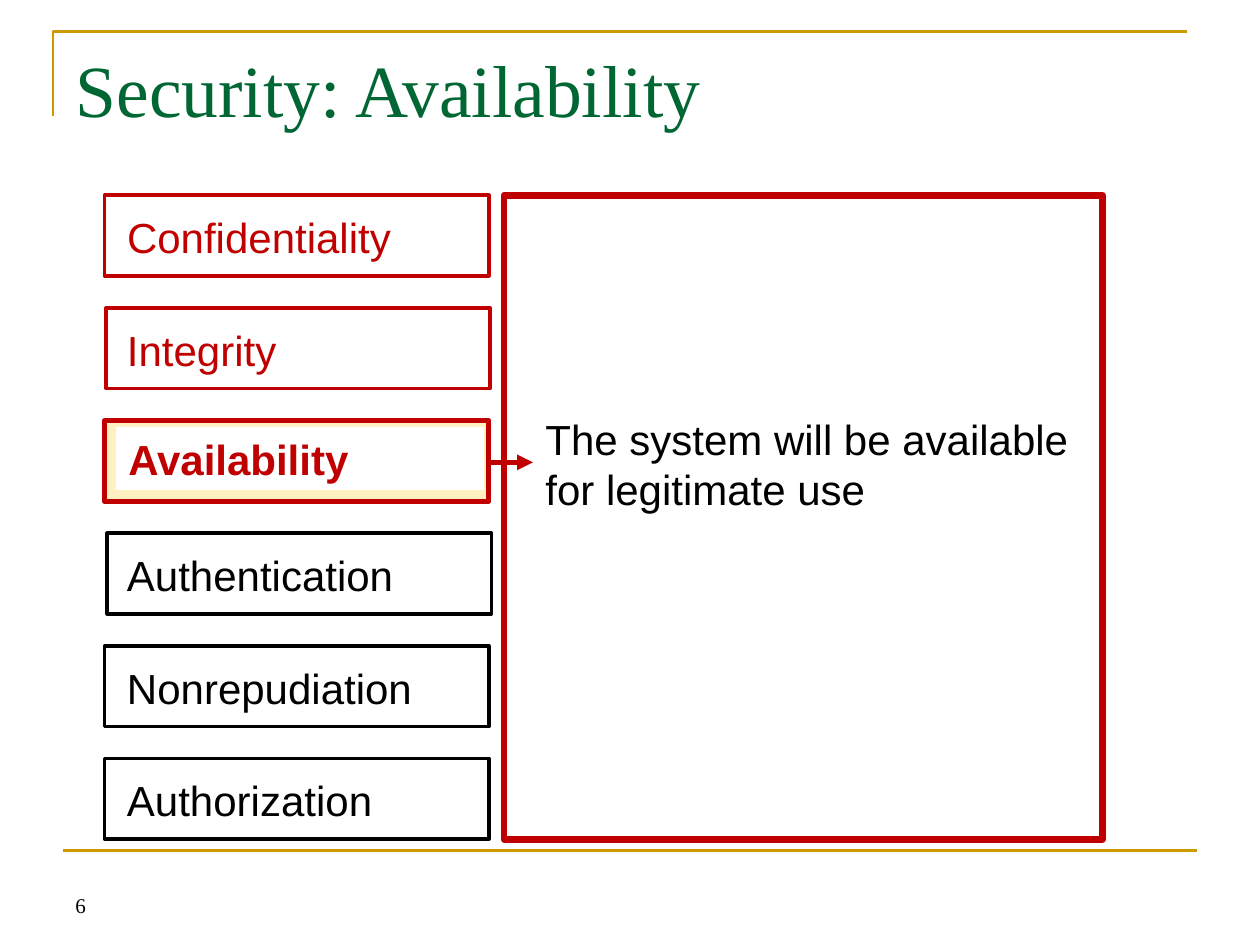
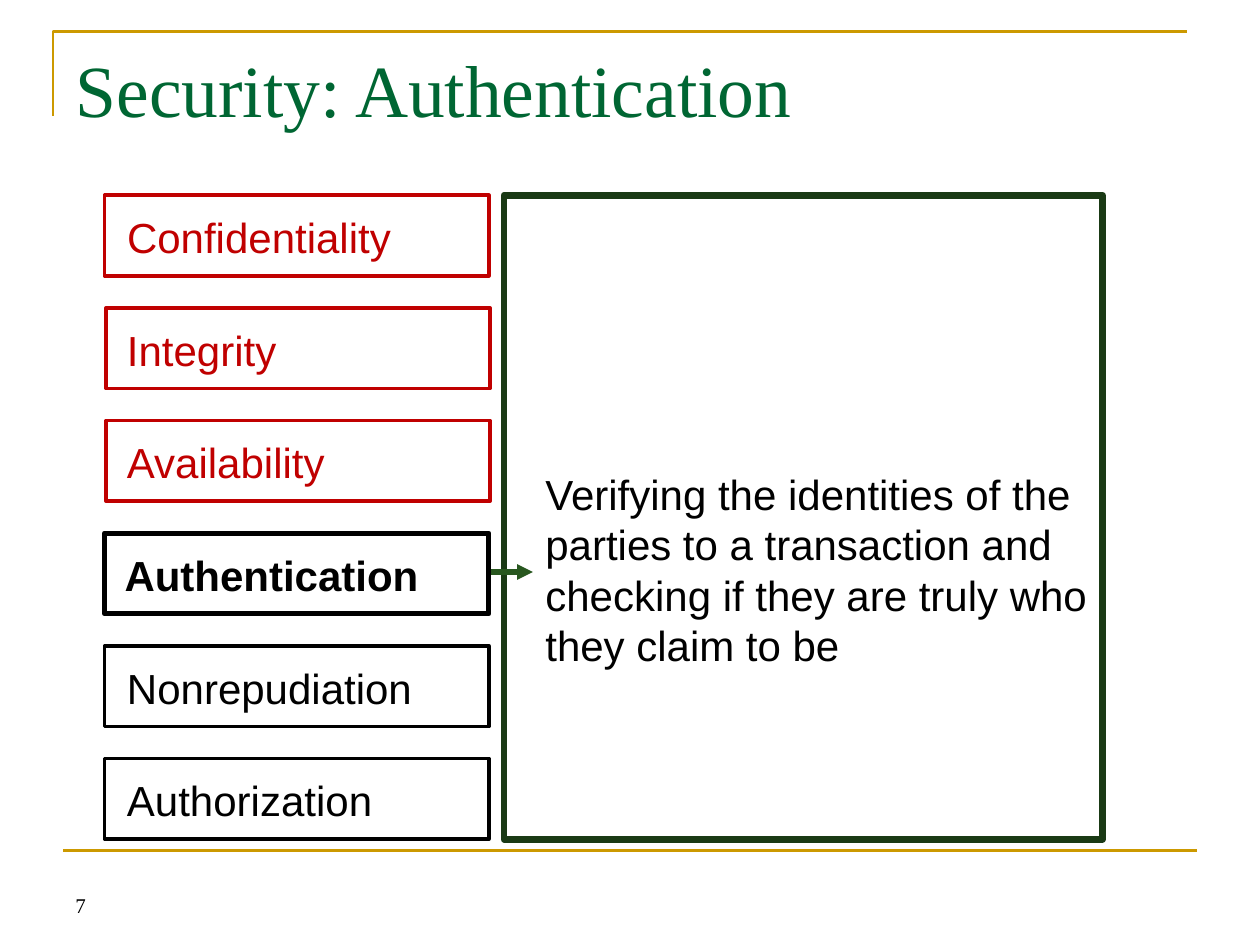
import lxml.etree
import pptx
import pptx.dml.color
import pptx.enum.shapes
import pptx.enum.text
import pptx.oxml.ns
import pptx.util

Inches = pptx.util.Inches
Pt = pptx.util.Pt
RGBColor = pptx.dml.color.RGBColor

WHITE = RGBColor(0xFF, 0xFF, 0xFF)
BLACK = RGBColor(0x00, 0x00, 0x00)
RED = RGBColor(0xC0, 0x00, 0x00)
GOLD = RGBColor(0xCC, 0x99, 0x00)
CREAM = RGBColor(0xFF, 0xF0, 0xC2)
TITLE_GREEN = RGBColor(0x00, 0x66, 0x33)
PANEL_GREEN = RGBColor(0x1A, 0x3A, 0x15)
ARROW_GREEN = RGBColor(0x28, 0x57, 0x1F)

HEADING_FONT = "Times New Roman"
BODY_FONT = "Arial"

MARGIN = 0.5
GOAL_COLUMN = 0.83
GOAL_WIDTH = 3.05
GOAL_HEIGHT = 0.64
PANEL_COLUMN = 4
ARROW_START = 3.68
DESCRIPTION_COLUMN = 4.23
FIRST_ROW = 1.55
LAST_ROW = 6.02

GOALS = [
    ("Confidentiality", RED, 0, 2.92),
    ("Integrity", RED, 0.01, 2.67),
    ("Availability", RED, 0.01, 2.67),
    ("Authentication", BLACK, 0.02, 2.67),
    ("Nonrepudiation", BLACK, 0, 2.67),
    ("Authorization", BLACK, 0, 2.9),
]
ROW_PITCH = (LAST_ROW - FIRST_ROW) / (len(GOALS) - 1)

SLIDES = [
    {
        "number": 6,
        "goal": "Availability",
        "description": "The system will be available for legitimate use",
        "description_top": 3.23,
        "description_height": 0.9,
        "panel_color": RED,
        "arrow_color": RED,
        "arrow_y": 3.67,
        "goal_fill": CREAM,
        "label_box": (0.92, 0.05, 2.92),
    },
    {
        "number": 7,
        "goal": "Authentication",
        "description": "Verifying the identities of the parties to a transaction "
                       "and checking if they are truly who they claim to be",
        "description_top": 3.67,
        "description_height": 1.7,
        "panel_color": PANEL_GREEN,
        "arrow_color": ARROW_GREEN,
        "arrow_y": 4.54,
        "goal_fill": WHITE,
        "label_box": (0.89, 0.08, 2.67),
    },
]


def add_box(slide, left, top, width, height, fill, line_color, line_width):
    box = slide.shapes.add_shape(
        pptx.enum.shapes.MSO_SHAPE.RECTANGLE,
        Inches(left), Inches(top), Inches(width), Inches(height))
    box.shadow.inherit = False
    box.fill.solid()
    box.fill.fore_color.rgb = fill
    box.line.color.rgb = line_color
    box.line.width = Pt(line_width)


def set_text(shape, text, font_name, size, color, bold=False):
    text_frame = shape.text_frame
    text_frame.word_wrap = True
    text_frame.auto_size = pptx.enum.text.MSO_AUTO_SIZE.NONE
    text_frame.vertical_anchor = pptx.enum.text.MSO_ANCHOR.TOP
    text_frame.text = text
    paragraph = text_frame.paragraphs[0]
    paragraph.alignment = pptx.enum.text.PP_ALIGN.LEFT
    font = paragraph.runs[0].font
    font.name = font_name
    font.size = Pt(size)
    font.bold = bold
    font.color.rgb = color


presentation = pptx.Presentation()
presentation.slide_width = Inches(10)
presentation.slide_height = Inches(7.5)
title_only = presentation.slide_layouts[5]

for content in SLIDES:
    slide = presentation.slides.add_slide(title_only)
    shapes = slide.shapes

    title = shapes.title
    title.left, title.top = Inches(MARGIN), Inches(0.3)
    title.width, title.height = Inches(9), Inches(1.25)
    set_text(title, f"Security: {content['goal']}", HEADING_FONT, 42, TITLE_GREEN)

    builder = shapes.build_freeform(Inches(0.42), Inches(0.92))
    builder.add_line_segments(
        [(Inches(0.42), Inches(0.25)), (Inches(9.42), Inches(0.25))], close=False)
    corner = builder.convert_to_shape()
    corner.shadow.inherit = False
    corner.fill.background()
    corner.line.color.rgb = GOLD
    corner.line.width = Pt(1.5)

    lines = [
        (MARGIN, 10 - MARGIN, 6.75, GOLD, 1.5),
        (ARROW_START, DESCRIPTION_COLUMN, content["arrow_y"], content["arrow_color"], 3),
    ]
    add_box(slide, PANEL_COLUMN, FIRST_ROW, 4.75, 5.11, WHITE, content["panel_color"], 4)
    for start, end, y, color, width in lines:
        connector = shapes.add_connector(
            pptx.enum.shapes.MSO_CONNECTOR.STRAIGHT,
            Inches(start), Inches(y), Inches(end), Inches(y))
        connector.line.color.rgb = color
        connector.line.width = Pt(width)
        properties = connector._element.spPr
        lxml.etree.SubElement(properties, pptx.oxml.ns.qn("a:effectLst"))
    arrow_line = properties.find(pptx.oxml.ns.qn("a:ln"))
    lxml.etree.SubElement(arrow_line, pptx.oxml.ns.qn("a:tailEnd"), type="triangle")

    description = shapes.add_textbox(
        Inches(DESCRIPTION_COLUMN), Inches(content["description_top"]),
        Inches(4.58), Inches(content["description_height"]))
    set_text(description, content["description"], BODY_FONT, 24, BLACK)

    for row, (goal, color, shift, label_width) in enumerate(GOALS):
        top = FIRST_ROW + row * ROW_PITCH
        active = goal == content["goal"]
        label_left, label_drop = 0.91, 0.08
        fill, line_width = WHITE, 2
        if active:
            label_left, label_drop, label_width = content["label_box"]
            fill, line_width, shift = content["goal_fill"], 3, 0
        add_box(slide, GOAL_COLUMN + shift, top, GOAL_WIDTH, GOAL_HEIGHT,
                fill, color, line_width)
        label = shapes.add_textbox(
            Inches(label_left), Inches(top + label_drop), Inches(label_width), Inches(0.5))
        label.fill.solid()
        label.fill.fore_color.rgb = WHITE
        set_text(label, goal, BODY_FONT, 24, color, active)

    page_number = shapes.add_textbox(
        Inches(MARGIN), Inches(6.83), Inches(2.33), Inches(0.5))
    set_text(page_number, str(content["number"]), HEADING_FONT, 12, BLACK)
    page_number.text_frame.vertical_anchor = pptx.enum.text.MSO_ANCHOR.BOTTOM

presentation.save("out.pptx")
